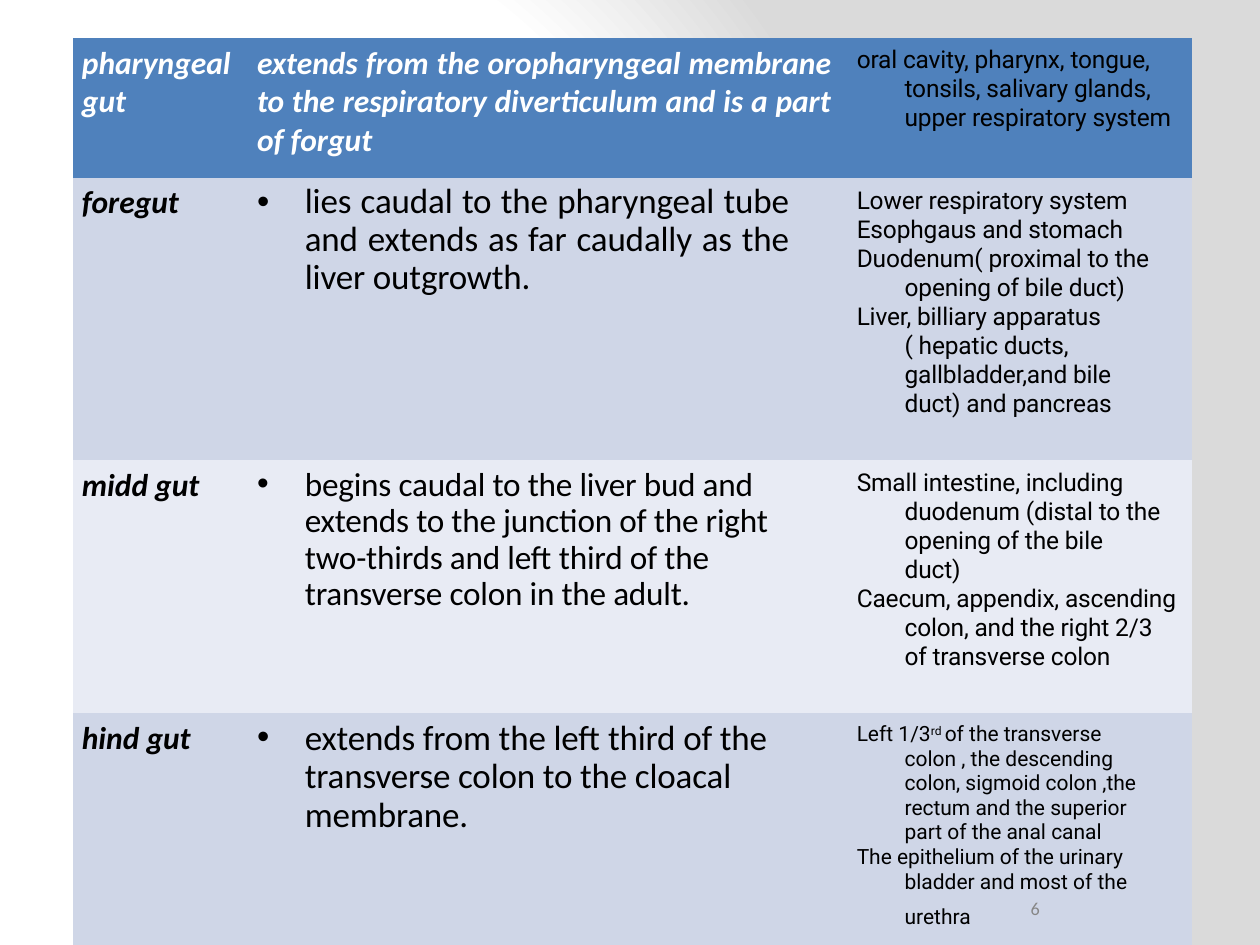
from lxml import etree
from pptx import Presentation
from pptx import util as u
from pptx.dml.color import RGBColor
from pptx.enum import text
from pptx.oxml import parse_xml
from pptx.oxml.ns import nsdecls, qn

WHITE = RGBColor(0xFF, 0xFF, 0xFF)
BLACK = RGBColor(0, 0, 0)
GRAY = RGBColor(0x87, 0x87, 0x87)
BLUE = RGBColor(0x4F, 0x81, 0xBC)
BAND_DARK = RGBColor(0xCF, 0xD6, 0xE7)
BAND_LIGHT = RGBColor(0xE8, 0xEB, 0xF4)
NO_STYLE = "{2D5ABB26-0587-4C30-8999-92F81FD0307C}"

COLUMN_WIDTHS = (1.36, 4.76, 2.76)
ROW_HEIGHTS = (1.11, 2.24, 2.01, 1.84)
ROW_FILLS = (BLUE, BAND_DARK, BAND_LIGHT, BAND_DARK)

NAME = dict(size=18, bold=True, left=0.07, top=0.05)
HEADER = dict(NAME, color=WHITE)
HEADER_EXTENT = dict(HEADER, left=0.1, right=0.1, justify=True)
EXTENT = dict(size=20, left=0.48, hanging=0.38, top=0.06, right=0.44,
              bullet=True, line_spacing=0.9, tracking=-10)
ORGANS = dict(size=14, font="Roboto", left=0.48, hanging=0.38, top=0.07,
              right=0.1, tracking=-10)
SUPERSCRIPT = dict(baseline=28000)
PAGE_NUMBER = dict(size=18, font="Calibri", color=GRAY, baseline=28000)

ROWS = [
    [
        (HEADER, ["pharyngeal", "gut"]),
        (HEADER_EXTENT, ["extends from the oropharyngeal membrane to the respiratory "
                         "diverticulum and is a part of forgut"]),
        (dict(ORGANS, top=0.06), ["oral cavity, pharynx, tongue, tonsils, salivary glands, "
                                  "upper respiratory system"]),
    ],
    [
        (NAME, ["foregut"]),
        (dict(EXTENT, justify=True, line_spacing=u.Pt(21.6)),
         ["lies caudal to the pharyngeal tube and extends as far caudally as the "
          "liver outgrowth."]),
        (dict(ORGANS, right=0.26),
         ["Lower respiratory system",
          "Esophgaus and stomach",
          "Duodenum( proximal to the opening of bile duct)",
          "Liver, billiary apparatus ( hepatic ducts, gallbladder,and bile duct) "
          "and pancreas"]),
    ],
    [
        (NAME, ["midd gut"]),
        (dict(EXTENT, size=19),
         ["begins caudal to the liver bud and extends to the junction of the right "
          "two-thirds and left third of the transverse colon in the adult."]),
        (ORGANS,
         ["Small intestine, including duodenum (distal to the opening of the bile\nduct)",
          "Caecum, appendix, ascending colon, and the right 2/3 of transverse colon"]),
    ],
    [
        (NAME, ["hind gut"]),
        (dict(EXTENT, top=0.05),
         ["extends from the left third of the transverse colon to the cloacal membrane."]),
        (dict(ORGANS, size=12, right=0.33, tracking=0),
         [[("Left 1/3", {}), ("rd ", SUPERSCRIPT),
           ("of the transverse colon , the descending colon, sigmoid colon ,the rectum "
            "and the superior part of the anal canal", {})],
          [("The epithelium of the urinary bladder and most of the urethra\t", {}),
           ("6", PAGE_NUMBER)]]),
    ],
]


def add_run(paragraph, words, style):
    run = paragraph.add_run()
    run.text = words
    font = run.font
    font.name = style.get("font", "Calibri")
    font.size = u.Pt(style["size"])
    font.bold = font.italic = style.get("bold", False)
    font.color.rgb = style.get("color", BLACK)
    properties = run._r.get_or_add_rPr()
    if style.get("tracking"):
        properties.set("spc", str(style["tracking"]))
    if "baseline" in style:
        properties.set("baseline", str(style["baseline"]))


def format_paragraph(paragraph, style):
    properties = paragraph._p.get_or_add_pPr()
    properties.set("marL", str(u.Inches(style["left"])))
    properties.set("indent", str(-u.Inches(style.get("hanging", 0))))
    if style.get("bullet"):
        etree.SubElement(properties, qn("a:buFont")).set("typeface", "Arial")
        etree.SubElement(properties, qn("a:buChar")).set("char", "•")
    else:
        etree.SubElement(properties, qn("a:buNone"))
    justify = style.get("justify")
    paragraph.alignment = text.PP_ALIGN.JUSTIFY if justify else text.PP_ALIGN.LEFT
    paragraph.line_spacing = style.get("line_spacing", 1.0)


def fill_cell(cell, style, paragraphs, color):
    cell.fill.solid()
    cell.fill.fore_color.rgb = color
    cell.margin_left = cell.margin_bottom = 0
    cell.margin_top = u.Inches(style["top"])
    cell.margin_right = u.Inches(style.get("right", 0))
    frame = cell.text_frame
    for index, content in enumerate(paragraphs):
        paragraph = frame.add_paragraph() if index else frame.paragraphs[0]
        format_paragraph(paragraph, style)
        runs = [(content, {})] if isinstance(content, str) else content
        for words, changes in runs:
            for number, line in enumerate(words.split("\n")):
                if number:
                    paragraph.add_line_break()
                add_run(paragraph, line, {**style, **changes})


def set_background(slide):
    stops = "".join(
        f'<a:gs pos="{position}"><a:srgbClr val="{color}"/></a:gs>'
        for position, color in ((0, WHITE), (75000, WHITE), (100000, "DADADA")))
    slide._element.cSld.insert(0, parse_xml(
        f'<p:bg {nsdecls("p", "a")}><p:bgPr><a:gradFill rotWithShape="1">'
        f'<a:gsLst>{stops}</a:gsLst><a:path path="circle">'
        '<a:fillToRect l="20000" t="50000" r="100000" b="50000"/></a:path>'
        '</a:gradFill><a:effectLst/></p:bgPr></p:bg>'))


def main():
    presentation = Presentation()
    presentation.slide_width = u.Inches(10)
    presentation.slide_height = u.Inches(7.5)
    slide = presentation.slides.add_slide(presentation.slide_layouts[6])
    set_background(slide)
    frame = slide.shapes.add_table(
        len(ROWS), len(COLUMN_WIDTHS), u.Inches(0.58), u.Inches(0.3),
        u.Inches(sum(COLUMN_WIDTHS)), u.Inches(sum(ROW_HEIGHTS)))
    table = frame.table
    table._tbl.tblPr.find(qn("a:tableStyleId")).text = NO_STYLE
    for column, width in zip(table.columns, COLUMN_WIDTHS):
        column.width = u.Inches(width)
    for row, height, color, contents in zip(table.rows, ROW_HEIGHTS, ROW_FILLS, ROWS):
        row.height = u.Inches(height)
        for cell, (style, paragraphs) in zip(row.cells, contents):
            fill_cell(cell, style, paragraphs, color)
    presentation.save("out.pptx")


if __name__ == "__main__":
    main()
